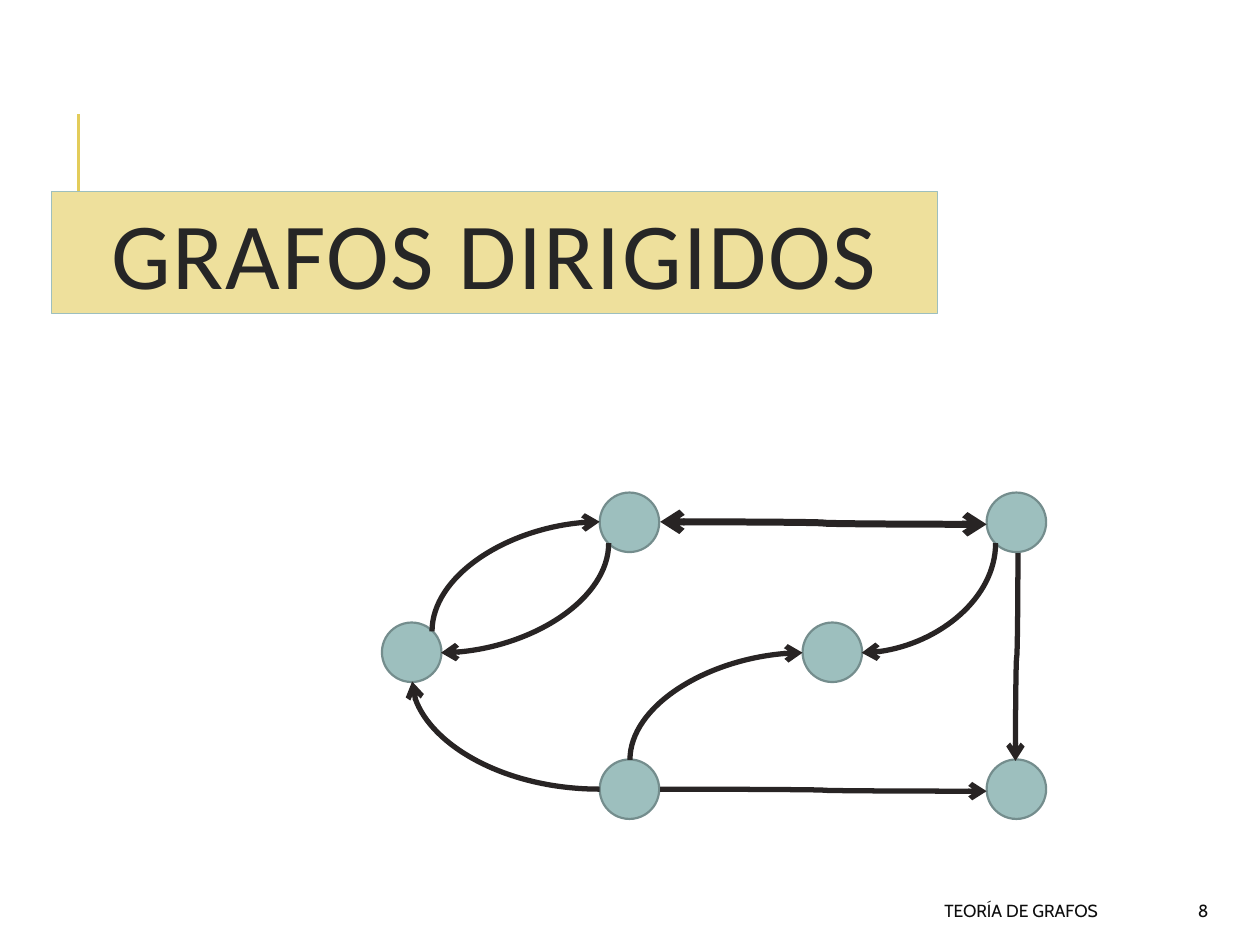
from dataclasses import dataclass

from pptx import Presentation
from pptx.dml.color import RGBColor
from pptx.enum.shapes import MSO_CONNECTOR, MSO_SHAPE
from pptx.enum.text import MSO_ANCHOR, PP_ALIGN
from pptx.oxml.ns import qn
from pptx.util import Cm, Pt

OVAL = MSO_SHAPE.OVAL
CURVE, STRAIGHT = MSO_CONNECTOR.CURVE, MSO_CONNECTOR.STRAIGHT
RIGHT, CENTER = PP_ALIGN.RIGHT, PP_ALIGN.CENTER
MIDDLE, BOTTOM = MSO_ANCHOR.MIDDLE, MSO_ANCHOR.BOTTOM

COLORS = {
    "rule": "E3CC5A", "band": "EEE09C", "title": "262626", "node": "9DBFBE",
    "rim": "748D8D", "edge": "282424", "foot": "0D0D0D",
}
TITLE = {"name": "Calibri", "size": Pt(54), "bold": False}
FOOT = {"name": "Cabin", "size": Pt(10)}
SIZE = 1.2


@dataclass
class Node:
    x: float
    y: float


@dataclass
class Edge:
    x1: float
    y1: float
    x2: float
    y2: float
    upright: bool = False
    bend: int = 2
    width: float = 3
    both: bool = False


@dataclass
class Note:
    text: str
    left: float
    width: float


NODES = [
    Node(8.3, 13.15), Node(12.69, 10.53), Node(12.69, 15.91),
    Node(16.78, 13.15), Node(20.49, 15.91), Node(20.49, 10.53),
]
EDGES = [
    Edge(8.71, 12.73, 12.09, 10.52, upright=True),
    Edge(12.7, 15.32, 16.18, 13.16, upright=True),
    Edge(20.52, 11.15, 20.47, 15.34, upright=True, bend=3),
    Edge(20.07, 10.95, 17.37, 13.16, upright=True),
    Edge(13.31, 15.91, 19.89, 15.95, bend=3),
    Edge(12.27, 10.95, 8.89, 13.16, upright=True),
    Edge(12.09, 15.91, 8.31, 13.74),
    Edge(13.31, 10.52, 19.89, 10.57, bend=3, width=4, both=True),
]
NOTES = [Note("8", 22.58, 2.03), Note("TEORÍA DE GRAFOS", 10.08, 12.3)]


def paint(part, color: str) -> None:
    part.solid()
    part.fore_color.rgb = RGBColor.from_string(COLORS[color])


def stroke(shape, color: str, width: float) -> None:
    paint(shape.line.fill, color)
    shape.line.width = Pt(width)


def place(shape, left: float, top: float, width: float, height: float) -> None:
    box = {"left": left, "top": top, "width": width, "height": height}
    for key, value in box.items():
        setattr(shape, key, Cm(value))


def write(shape, text: str, look: dict, color: str, align, anchor):
    frame = shape.text_frame
    frame.word_wrap = True
    frame.vertical_anchor = anchor
    para = frame.paragraphs[0]
    para.alignment = align
    run = para.add_run()
    run.text = text
    for key, value in look.items():
        setattr(run.font, key, value)
    paint(run.font.fill, color)
    return para


def join(slide, kind, box: tuple, color: str, width: float):
    line = slide.shapes.add_connector(kind, *map(Cm, box))
    stroke(line, color, width)
    props = line._element.spPr
    props.append(props.makeelement(qn("a:effectLst"), {}))
    return line


def draw_node(slide, node: Node) -> None:
    half = SIZE / 2
    box = (node.x - half, node.y - half, SIZE, SIZE)
    shape = slide.shapes.add_shape(OVAL, *map(Cm, box))
    shape.shadow.inherit = False
    paint(shape.fill, "node")
    stroke(shape, "rim", 1.25)


def draw_edge(slide, edge: Edge) -> None:
    dx, dy = edge.x2 - edge.x1, edge.y2 - edge.y1
    wide, high = abs(dx), abs(dy)
    flips = {"flipH": dx < 0, "flipV": dy < 0}
    if edge.upright:
        wide, high = high, wide
        flips = {"flipH": dy < 0, "flipV": dx > 0}
    left = (edge.x1 + edge.x2 - wide) / 2
    top = (edge.y1 + edge.y2 - high) / 2
    box = (left, top, left + wide, top + high)
    line = join(slide, CURVE, box, "edge", edge.width)
    props = line._element.spPr
    props.find(qn("a:prstGeom")).set("prst", f"curvedConnector{edge.bend}")
    frame = props.find(qn("a:xfrm"))
    if edge.upright:
        frame.set("rot", str(90 * 60000))
    for key, value in flips.items():
        if value:
            frame.set(key, "1")
    stem = props.find(qn("a:ln"))
    for tag in ("a:headEnd", "a:tailEnd") if edge.both else ("a:tailEnd",):
        stem.append(stem.makeelement(qn(tag), {"type": "arrow"}))


def draw_note(slide, note: Note) -> None:
    box = (note.left, 17.98, note.width, 0.76)
    shape = slide.shapes.add_textbox(*map(Cm, box))
    write(shape, note.text, FOOT, "foot", RIGHT, MIDDLE)


def draw_title(slide) -> None:
    title = slide.shapes.title
    place(title, 1.04, 3.86, 17.86, 2.46)
    paint(title.fill, "band")
    stroke(title, "node", 0.75)
    para = write(title, "GRAFOS DIRIGIDOS", TITLE, "title", CENTER, BOTTOM)
    para.line_spacing = 0.8
    para.runs[0].font._element.set("spc", "100")


def main() -> None:
    deck = Presentation()
    deck.slide_width, deck.slide_height = Cm(25.4), Cm(19.05)
    slide = deck.slides.add_slide(deck.slide_layouts[5])
    join(slide, STRAIGHT, (1.58, 3.86, 1.58, 2.29), "rule", 1.5)
    draw_title(slide)
    for note in NOTES:
        draw_note(slide, note)
    for node in NODES:
        draw_node(slide, node)
    for edge in EDGES:
        draw_edge(slide, edge)
    deck.save("out.pptx")


main()
